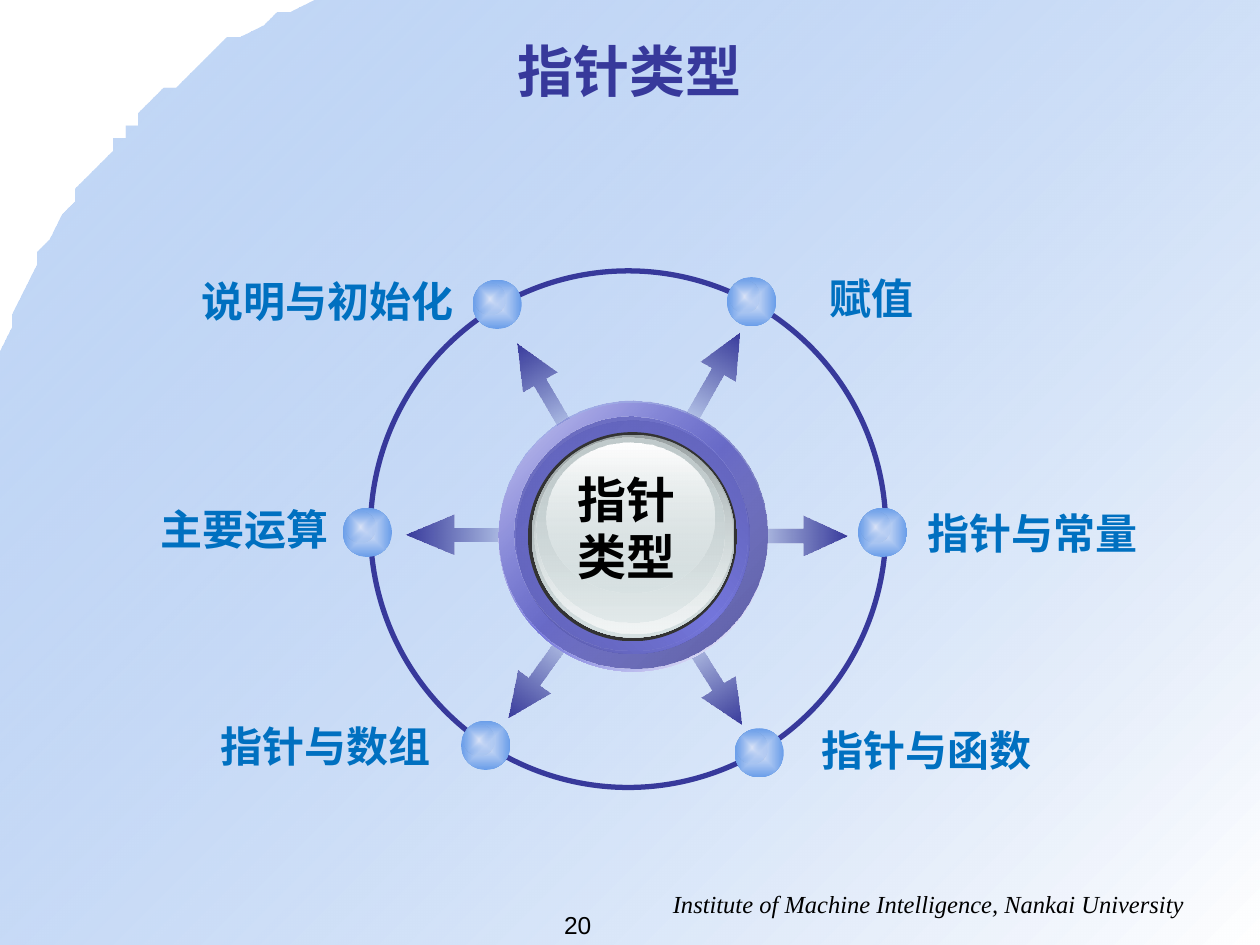
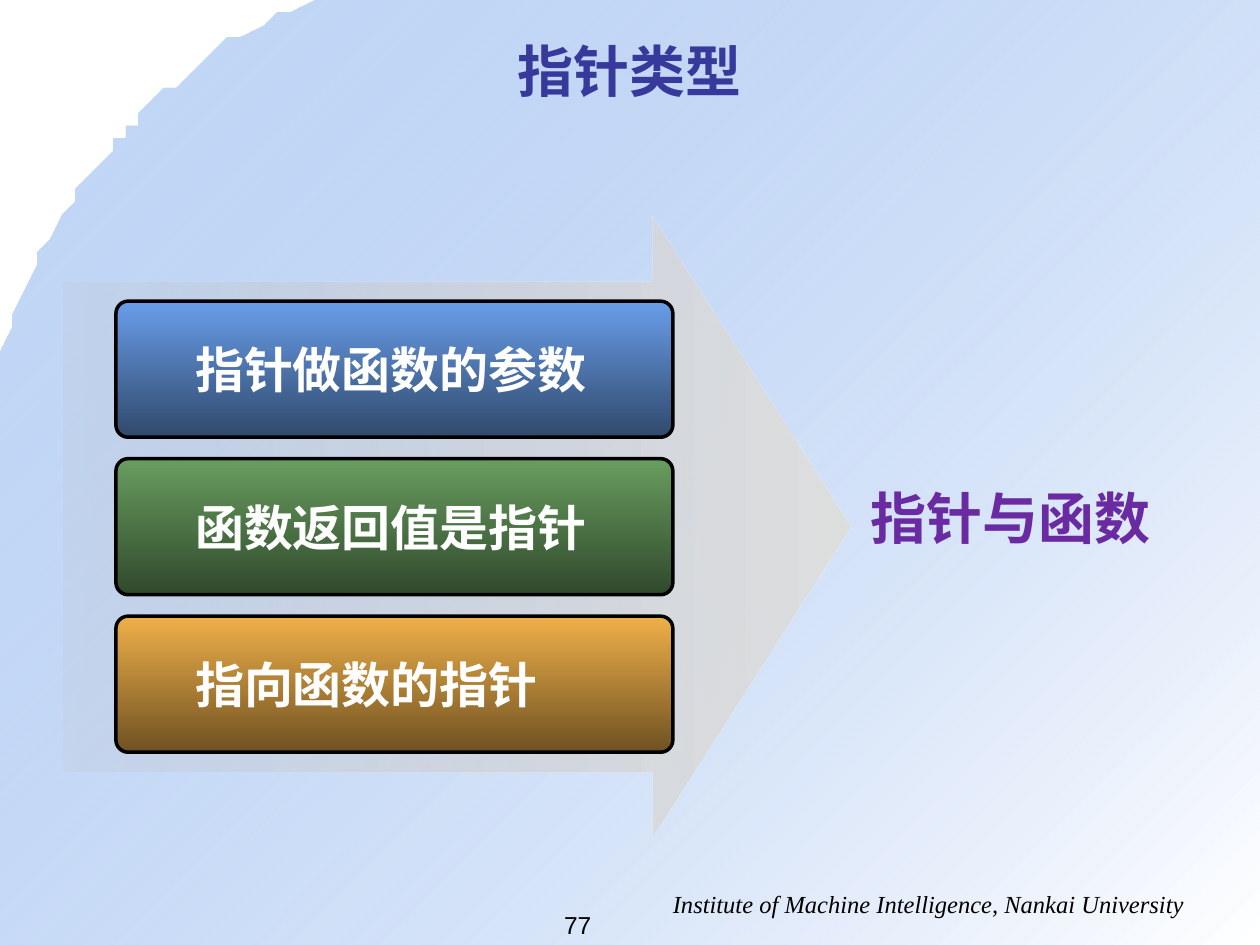
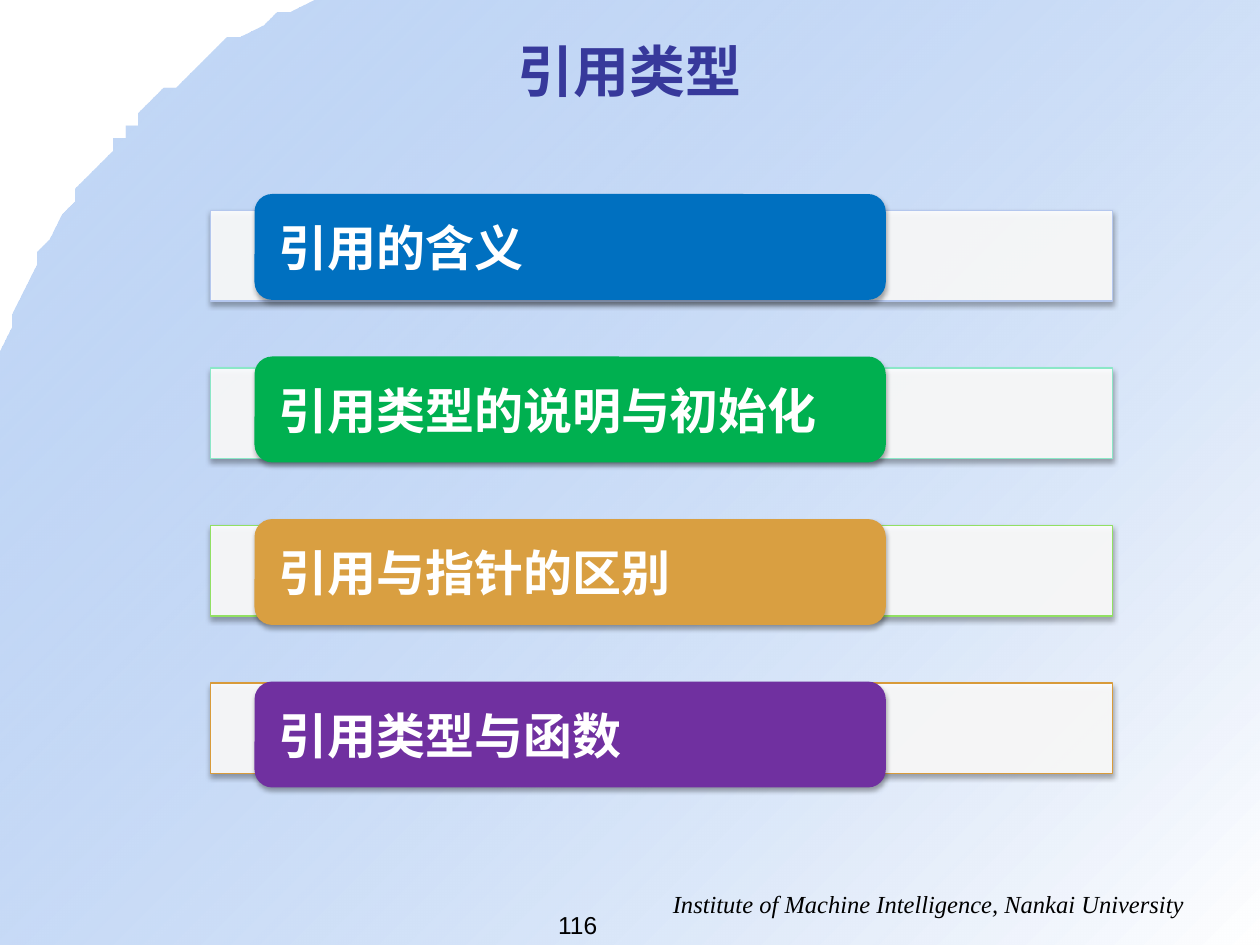
from lxml.etree import SubElement as Sub
from pptx import Presentation
from pptx.dml.color import RGBColor as RGB
from pptx.enum.shapes import MSO_SHAPE as Kind
from pptx.enum.text import MSO_ANCHOR as Anchor, PP_ALIGN as Align
from pptx.oxml import parse_xml as to_xml
from pptx.oxml.ns import nsdecls, qn
from pptx.util import Emu, Inches, Pt

COLS, ROWS = 100, 75
CELL = Inches(10) // COLS
HAN, SANS, SERIF = "Noto Sans CJK SC", "Arial", "Times New Roman"
INK, SKY, BLUE, WHITE, BLACK = "37399B", "699DE9", "0070C0", "FFFFFF", "000000"
VIOLET, MIST, PALE = "7476DC", "D6E1E2", "DBE4F8"

ARROWS = [
    (52.2, 28.6, 8.7, 299.6), (52.2, 52.2, 8.7, 57.8), (38.9, 29.4, 8.7, 239.5),
    (38.5, 51.8, 8.7, 125.6), (58.6, 40.9, 8.7, 0), (32.2, 40.8, 9.4, 180),
]
TOPICS = [
    ("说明与初始化", (37.5, 22.2), (14.9, 21.4)),
    ("主要运算", (27.2, 40.3), (11.6, 39.5)),
    ("指针与数组", (36.6, 57.2), (16.4, 56.7)),
    ("赋值", (57.7, 22), (64.7, 21.1)),
    ("指针与常量", (68.1, 40.3), (72.5, 39.8)),
    ("指针与函数", (58.3, 57.8), (64.1, 57)),
]
RINGS = [
    ((39.6, 32, 21.3, 21.3), [(0, WHITE), (50, VIOLET), (100, WHITE)], 45),
    ((39.6, 31.8, 21.3, 21.3), [(0, VIOLET, 32), (100, "53549D")], 45),
    ((41, 33.4, 18.5, 18.5), [(0, "595AA8"), (50, VIOLET), (100, "595AA8")], 315),
    ((40.8, 33.1, 18.5, 18.5), [(0, "5F61B5"), (100, VIOLET, 0)], 45),
    ((41.9, 34.3, 16.6, 16.6), [(0, "333333"), (100, "333333")], 0),
    ((42.2, 34.5, 16.1, 16.1), [(0, "99A1A2"), (100, MIST)], 90),
    ((42.4, 34.6, 15.7, 15.7), [(0, MIST, 0), (100, "F2F5F5")], 90),
    ((42.6, 34.7, 14.9, 14.7), [(0, "C1CBCC"), (100, MIST, 48)], 90),
    ((43.4, 35.1, 13.3, 11.9), [(0, WHITE), (100, MIST, 38)], 90),
]
CARDS = [
    ("指针做函数的参数", SKY, "30496C"),
    ("函数返回值是指针", "699D5F", "30492C"),
    ("指向函数的指针", "EFB049", "6F5122"),
]
BARS = [
    ("引用的含义", BLUE, "B4C7EE"),
    ("引用类型的说明与初始化", "00B050", "8BE7C7"),
    ("引用与指针的区别", "D99F41", "91E063"),
    ("引用类型与函数", "7030A0", "D89B3B"),
]


def hue(code):
    """Turn a hex string into a colour."""
    return RGB.from_string(code)


def grid(*cells):
    """Turn grid cells into lengths."""
    return [Emu(round(n * CELL)) for n in cells]


def blend(shape, stops, angle=None):
    """Fill with (place, colour, opacity) stops, from the centre if no angle."""
    marks = ""
    for place, code, *rest in stops:
        alpha = rest[0] if rest else 100
        marks += (f'<a:gs pos="{place * 1000}"><a:srgbClr val="{code}">'
                  f'<a:alpha val="{alpha * 1000}"/></a:srgbClr></a:gs>')
    if angle is None:
        way = ('<a:path path="shape"><a:fillToRect l="50000" t="50000" '
               'r="50000" b="50000"/></a:path>')
    else:
        way = f'<a:lin ang="{angle * 60000}" scaled="0"/>'
    shape.fill.gradient()
    props = shape.element.spPr
    props.replace(props.find(qn("a:gradFill")), to_xml(
        f'<a:gradFill {nsdecls("a")} rotWithShape="1">'
        f'<a:gsLst>{marks}</a:gsLst>{way}</a:gradFill>'))


def edge(shape, code=None, width=1):
    """Draw the outline, or none without a colour."""
    if code:
        shape.line.color.rgb = hue(code)
        shape.line.width = Pt(width)
    else:
        shape.line.fill.background()


def form(slide, kind, box, fill=None, adj=()):
    """Add a preset shape without outline or shadow."""
    shape = slide.shapes.add_shape(kind, *grid(*box))
    shape.shadow.inherit = False
    edge(shape)
    for i, size in enumerate(adj):
        shape.adjustments[i] = size
    if fill:
        shape.fill.solid()
        shape.fill.fore_color.rgb = hue(fill)
    else:
        shape.fill.background()
    return shape


def shade(shape):
    """Cast a soft shadow straight down."""
    props = shape.element.spPr
    cast = Sub(props.find(qn("a:effectLst")), qn("a:outerShdw"),
               blurRad=str(Pt(3.1)), dist=str(Pt(1.8)), dir="5400000",
               algn="ctr", rotWithShape="0")
    tint = Sub(cast, qn("a:srgbClr"), val=BLACK)
    Sub(tint, qn("a:alpha"), val="35000")


def write(shape, lines, size, code, font=HAN, align=Align.LEFT, bold=True,
          slant=False, wrap=True, inset=1, lead=None):
    """Write lines of text, one run each, centred on the height."""
    frame = shape.text_frame
    frame.word_wrap = wrap
    frame.vertical_anchor = Anchor.MIDDLE
    frame.margin_left, = grid(inset)
    for i, line in enumerate(lines):
        para = frame.add_paragraph() if i else frame.paragraphs[0]
        para.alignment = align
        if lead:
            para.line_spacing = Pt(lead)
        run = para.add_run()
        run.text = line
        face = run.font
        face.name, face.size = font, Pt(size)
        face.bold, face.italic = bold, slant
        face.color.rgb = hue(code)
        Sub(run.font._element, qn("a:ea"), typeface=HAN)


def label(slide, box, lines, size, code, **style):
    """Add a text box."""
    write(slide.shapes.add_textbox(*grid(*box)), lines, size, code, **style)


def curve(a, b, c, d, steps=16):
    """List points along a cubic curve, without its start."""
    times = [i / steps for i in range(1, steps + 1)]
    return [tuple((1 - t) ** 3 * p + 3 * t * (1 - t) ** 2 * q
                  + 3 * t * t * (1 - t) * r + t ** 3 * s
                  for p, q, r, s in zip(a, b, c, d)) for t in times]


def sweep(slide):
    """Add the blue backdrop with its rounded corner."""
    top, mid, low = (25.8, 0), (9.8, 10.7), (0, 30.1)
    pen = slide.shapes.build_freeform(*top, scale=CELL)
    pen.add_line_segments(
        curve(top, (19, 1.6), (11.6, 8.3), mid)
        + curve(mid, (8, 13.2), (1.6, 19.4), low)
        + [(0, ROWS), (COLS, ROWS), (COLS, 0)], close=True)
    shape = pen.convert_to_shape()
    shape.shadow.inherit = False
    edge(shape)
    blend(shape, [(0, SKY, 39), (100, WHITE)], 45)


def start(deck, title, number):
    """Add a slide with backdrop, title, footer and number."""
    slide = deck.slides.add_slide(deck.slide_layouts[6])
    sweep(slide)
    label(slide, (48.3, 70, 46.7, 3.4),
          ["Institute of Machine Intelligence, Nankai University"], 14, BLACK,
          font=SERIF, align=Align.RIGHT, bold=False, slant=True)
    label(slide, (5, 2.5, 90, 6.2), [title], 32, INK, font=SANS,
          align=Align.CENTER)
    label(slide, (34.2, 71.7, 23.3, 3.4), [number], 14, BLACK, font=SANS,
          align=Align.CENTER, bold=False)
    return slide


def arrow(slide, left, top, width, turn):
    """Add a fading arrow that points outward."""
    shape = form(slide, Kind.RIGHT_ARROW, (left, top, width, 3.2),
                 adj=(0.35, 1.11 * width / 8.7))
    shape.rotation = turn
    blend(shape, [(0, "343693", 0), (100, INK)], 0)


def dot(slide, left, top):
    """Add a glossy dot."""
    ball = form(slide, Kind.OVAL, (left, top, 3.9, 3.9))
    blend(ball, [(0, PALE), (100, SKY)])
    gleam = form(slide, Kind.OVAL, (left + 0.2, top + 0.3, 2.4, 2.5))
    blend(gleam, [(0, PALE), (100, SKY, 0)])


def wheel(slide):
    """Draw the hub, its arrows and the topics around it."""
    for spoke in ARROWS:
        arrow(slide, *spoke)
    edge(form(slide, Kind.OVAL, (29.4, 21.5, 40.9, 41)), INK, 3)
    for _, spot, _ in TOPICS:
        dot(slide, *spot)
    for box, stops, angle in RINGS:
        blend(form(slide, Kind.OVAL, box), stops, angle)
    label(slide, (44.8, 36.7, 9.9, 10.4), ["指针", "类型"], 28, BLACK,
          align=Align.CENTER, wrap=False, lead=33)
    for word, _, (left, top) in TOPICS:
        label(slide, (left, top, len(word) * 10 / 3 + 2.1, 5), [word], 24, BLUE,
              align=Align.RIGHT, wrap=False)


def stack(slide):
    """Draw the cards on the big arrow and what they lead to."""
    back = form(slide, Kind.RIGHT_ARROW, (5, 17.2, 62.5, 49.2), adj=(0.79, 0.32))
    blend(back, [(0, "C0C0C0", 15), (100, "DEDEDE")], 0)
    for i, (word, light, dark) in enumerate(CARDS):
        card = form(slide, Kind.ROUNDED_RECTANGLE,
                    (9.2, 23.9 + 12.5 * i, 44.2, 10.8), adj=(0.09,))
        blend(card, [(0, light), (100, dark)], 90)
        edge(card, BLACK, 2)
        write(card, [word], 28, WHITE, inset=6)
    label(slide, (68.1, 33.9, 27.2, 14.2), ["指针与函数"], 32, "692AA2")


def shelf(slide):
    """Draw the coloured pills on their white bars."""
    for i, (word, code, rim) in enumerate(BARS):
        bar = form(slide, Kind.RECTANGLE, (16.7, 16.7 + 12.5 * i, 71.6, 7.2), WHITE)
        tint = bar.element.spPr.find(qn("a:solidFill"))[0]
        Sub(tint, qn("a:alpha"), val="90000")
        edge(bar, rim, 0.75)
        pill = form(slide, Kind.ROUNDED_RECTANGLE,
                    (20.2, 15.4 + 12.9 * i, 50.1, 8.4), code)
        write(pill, [word], 28, WHITE, inset=1.5)
        shade(bar)
        shade(pill)


def main():
    """Build and save the deck."""
    deck = Presentation()
    deck.slide_width, deck.slide_height = grid(COLS, ROWS)
    wheel(start(deck, "指针类型", "20"))
    stack(start(deck, "指针类型", "77"))
    shelf(start(deck, "引用类型", "116"))
    deck.save("out.pptx")


if __name__ == "__main__":
    main()
